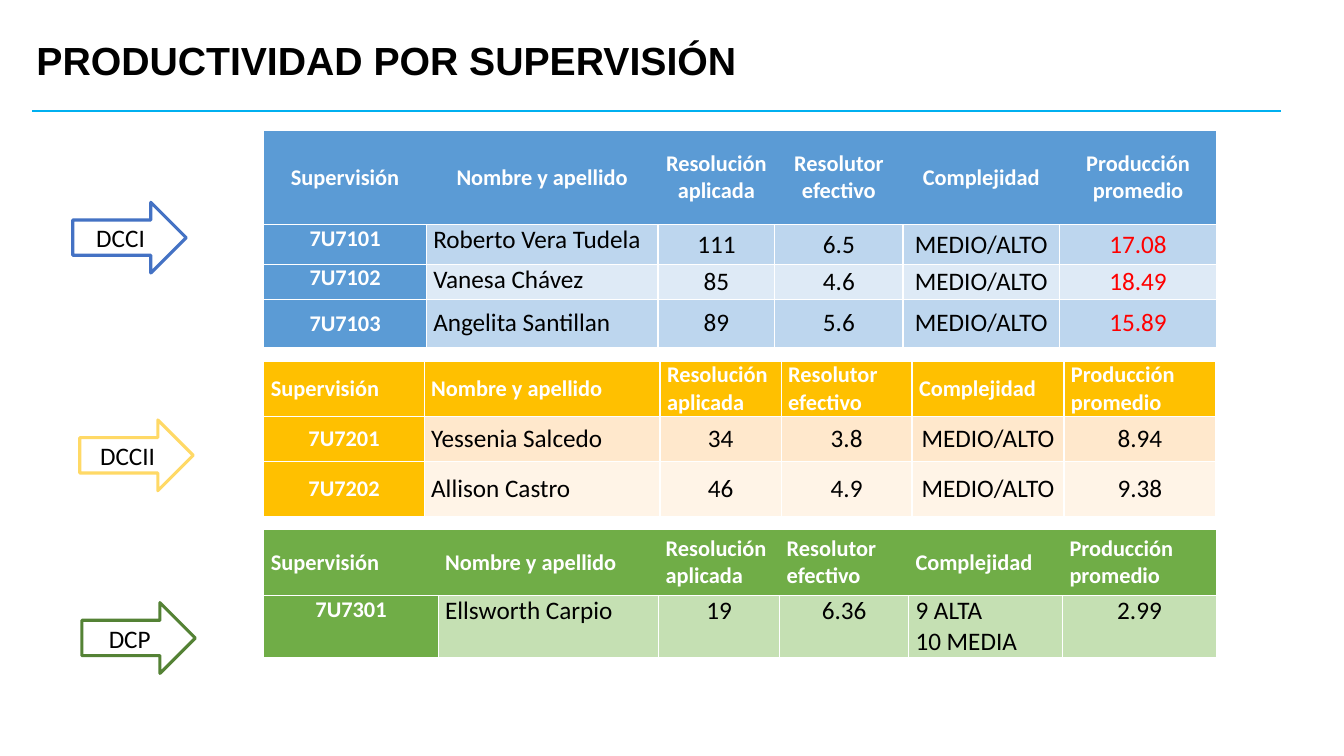
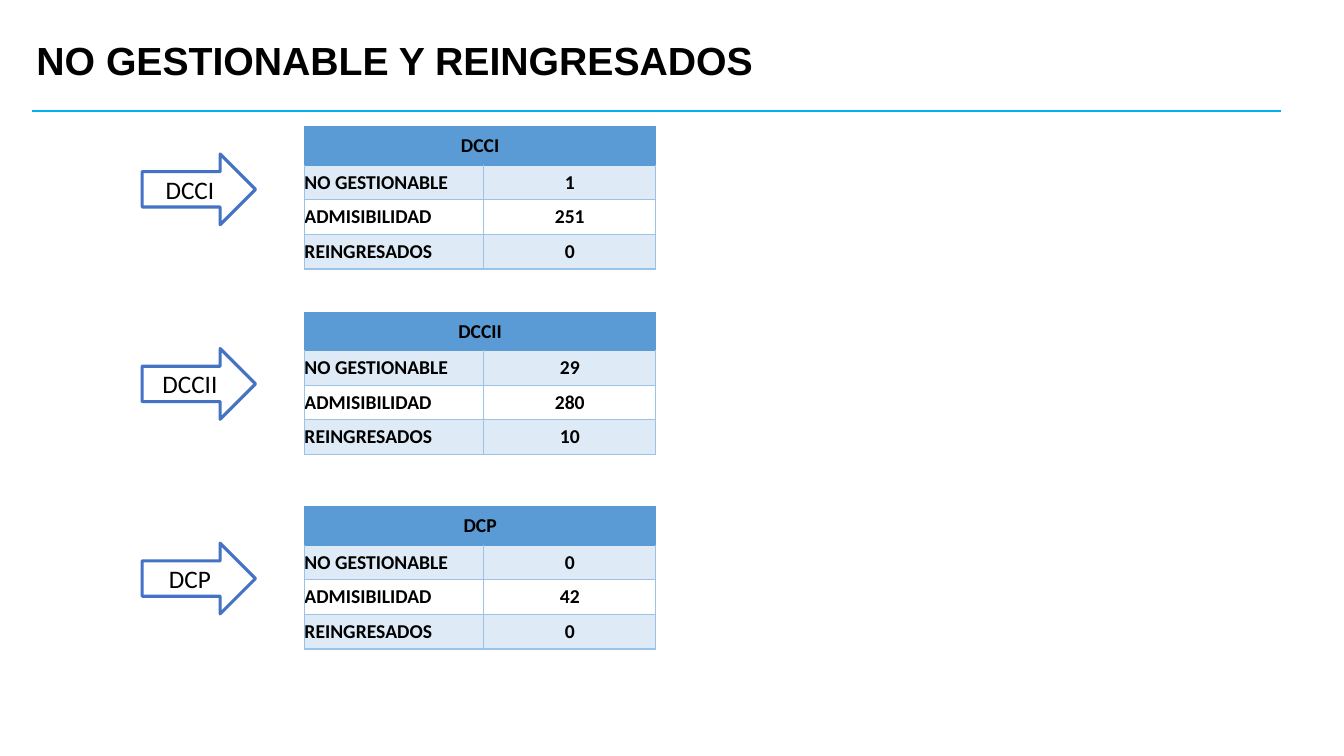
"""Build two slides on productivity and intake per supervision."""
from lxml.etree import SubElement
from pptx import Presentation
from pptx.dml.color import RGBColor as RGB
from pptx.enum.shapes import MSO_CONNECTOR as LINK, MSO_SHAPE as SHAPE
from pptx.enum.text import MSO_ANCHOR as ANCHOR, PP_ALIGN as ALIGN
from pptx.oxml.ns import qn
from pptx.util import Pt

HUES = {
    "black": "000000", "white": "FFFFFF", "red": "FF0000", "rule": "00B0F0",
    "navy": "4472C4", "sand": "FFD966", "moss": "548235",
    "blue": "5B9BD5", "sky": "BDD6EE", "ice": "DEEAF6", "edge": "9CC2E5",
    "gold": "FFC000", "peach": "FFE8CC", "cream": "FFF4E7",
    "green": "70AD47", "mint": "C5E0B3",
}


def write(frame, text, size=18, bold=False, hue="black", font="Calibri",
          align=ALIGN.LEFT, space=None):
    frame.word_wrap = True
    frame.text = text
    for para in frame.paragraphs:
        para.alignment = align
        para.line_spacing = space
        for run in para.runs:
            run.font.name = font
            run.font.size = Pt(size)
            run.font.bold = bold
            run.font.color.rgb = RGB.from_string(HUES[hue])


def grid(page, left, top, wide, tall, fills, line, head, bars, pad):
    table = page.shapes.add_table(
        len(tall), len(wide), Pt(left), Pt(top), Pt(sum(wide)), Pt(sum(tall))).table
    table.first_row = table.horz_banding = False
    for col, width in zip(table.columns, wide):
        col.width = Pt(width)
    for r, (high, fill) in enumerate(zip(tall, fills)):
        table.rows[r].height = Pt(high)
        for c in range(len(wide)):
            cell = table.cell(r, c)
            cell.margin_left = cell.margin_right = Pt(pad)
            cell.margin_top = cell.margin_bottom = 0
            cell.vertical_anchor = ANCHOR.MIDDLE
            edges = dict.fromkeys("LRTB", head if r == 0 else line)
            if r == 1:
                edges["T"] = head
            if r == 0 and not bars:
                edges["L"] = head if c == 0 else None
                edges["R"] = head if c == len(wide) - 1 else None
            props = cell._tc.get_or_add_tcPr()
            for side, hue in edges.items():
                stroke = SubElement(props, qn(f"a:ln{side}"), w=str(Pt(1)))
                if hue:
                    paint = SubElement(stroke, qn("a:solidFill"))
                    SubElement(paint, qn("a:srgbClr"), val=HUES[hue])
                else:
                    SubElement(stroke, qn("a:noFill"))
            if fill:
                cell.fill.solid()
                cell.fill.fore_color.rgb = RGB.from_string(HUES[fill])
            else:
                cell.fill.background()
    return table


deck = Presentation()
deck.slide_width, deck.slide_height = Pt(960), Pt(540)

PAGES = [
    ("PRODUCTIVIDAD POR SUPERVISIÓN", [
        ("DCCI", 52, 144.5, "navy"),
        ("DCCII", 57, 300, "sand"),
        ("DCP", 58.5, 430.5, "moss")]),
    ("NO GESTIONABLE Y REINGRESADOS", [
        (name, 101.5, 110 + 139 * i, "navy")
        for i, name in enumerate(["DCCI", "DCCII", "DCP"])]),
]
for title, arrows in PAGES:
    page = deck.slides.add_slide(deck.slide_layouts[6])
    rule = page.shapes.add_connector(LINK.STRAIGHT, Pt(23), Pt(79), Pt(915), Pt(79))
    rule.line.color.rgb = RGB.from_string(HUES["rule"])
    rule.line.width = Pt(1.5)
    SubElement(rule._element.spPr, qn("a:effectLst"))
    box = page.shapes.add_textbox(Pt(19), Pt(19.5), Pt(828), Pt(50.5))
    box.text_frame.vertical_anchor = ANCHOR.MIDDLE
    write(box.text_frame, title, size=28, bold=True, font="Arial", space=0.9)
    for name, left, top, hue in arrows:
        arrow = page.shapes.add_shape(
            SHAPE.RIGHT_ARROW, Pt(left), Pt(top), Pt(81), Pt(50.5))
        arrow.shadow.inherit = False
        arrow.fill.solid()
        arrow.fill.fore_color.rgb = RGB.from_string(HUES["white"])
        arrow.line.color.rgb = RGB.from_string(HUES[hue])
        arrow.line.width = Pt(2.25)
        arrow.text_frame.vertical_anchor = ANCHOR.MIDDLE
        write(arrow.text_frame, name, align=ALIGN.CENTER)
first, second = deck.slides

HEADS = ["Supervisión", "Nombre y apellido", "Resolución aplicada",
         "Resolutor efectivo", "Complejidad", "Producción promedio"]
TEAMS = [
    {"top": 93, "wide": [116, 165.5, 83.5, 91.5, 112, 112],
     "tall": [67.5, 28.5, 25, 34], "fills": ["blue", "sky", "ice", "sky"],
     "bars": False, "align": ALIGN.CENTER, "mark": "red", "raised": [0, 2, 2, 0],
     "rows": [["7U7101", "Roberto Vera Tudela", "111", "6.5", "MEDIO/ALTO", "17.08"],
              ["7U7102", "Vanesa Chávez", "85", "4.6", "MEDIO/ALTO", "18.49"],
              ["7U7103", "Angelita Santillan", "89", "5.6", "MEDIO/ALTO", "15.89"]]},
    {"top": 258, "wide": [114.5, 168.5, 86.5, 93.5, 108.5, 108.5],
     "tall": [39.5, 32, 39.5], "fills": ["gold", "peach", "cream"],
     "bars": True, "align": ALIGN.LEFT, "mark": "black", "raised": [0, 0, 0],
     "rows": [["7U7201", "Yessenia Salcedo", "34", "3.8", "MEDIO/ALTO", "8.94"],
              ["7U7202", "Allison Castro", "46", "4.9", "MEDIO/ALTO", "9.38"]]},
    {"top": 378, "wide": [124.5, 157.5, 86.5, 92, 110, 110],
     "tall": [47.5, 44], "fills": ["green", "mint"],
     "bars": False, "align": ALIGN.LEFT, "mark": "black", "raised": [0, 6],
     "rows": [["7U7301", "Ellsworth Carpio", "19", "6.36", "9 ALTA\n10 MEDIA", "2.99"]]},
]
for team in TEAMS:
    table = grid(first, 188.5, team["top"], team["wide"], team["tall"], team["fills"],
                 "white", "white", team["bars"], 5)
    for r, row in enumerate([HEADS] + team["rows"]):
        for c, text in enumerate(row):
            cell = table.cell(r, c)
            if c < team["raised"][r]:
                cell.vertical_anchor = ANCHOR.TOP
            if r == 0:
                look = {"size": 16, "bold": True, "hue": "white", "align": team["align"]}
            elif c == 0:
                look = {"size": 16, "bold": True, "hue": "white", "align": ALIGN.CENTER}
                cell.fill.fore_color.rgb = RGB.from_string(HUES[team["fills"][0]])
            else:
                look = {"hue": team["mark"] if c == 5 else "black",
                        "align": ALIGN.LEFT if c == 1 or "\n" in text else ALIGN.CENTER}
            write(cell.text_frame, text, **look)

KINDS = ["NO GESTIONABLE", "ADMISIBILIDAD", "REINGRESADOS"]
COUNTS = [("DCCI", 90.5, [1, 251, 0]), ("DCCII", 223, [29, 280, 10]),
          ("DCP", 362, [0, 42, 0])]
for name, top, counts in COUNTS:
    table = grid(second, 217.5, top, [128, 123], [27.5] + [24.7] * 3,
                 ["blue", "ice", None, "ice"], "edge", "blue", True, 0)
    table.cell(0, 0).merge(table.cell(0, 1))
    write(table.cell(0, 0).text_frame, name, size=14, bold=True, align=ALIGN.CENTER)
    for r, (kind, count) in enumerate(zip(KINDS, counts), 1):
        write(table.cell(r, 0).text_frame, kind, size=14, bold=True)
        write(table.cell(r, 1).text_frame, str(count), size=14, bold=True,
              align=ALIGN.CENTER)

deck.save("out.pptx")
